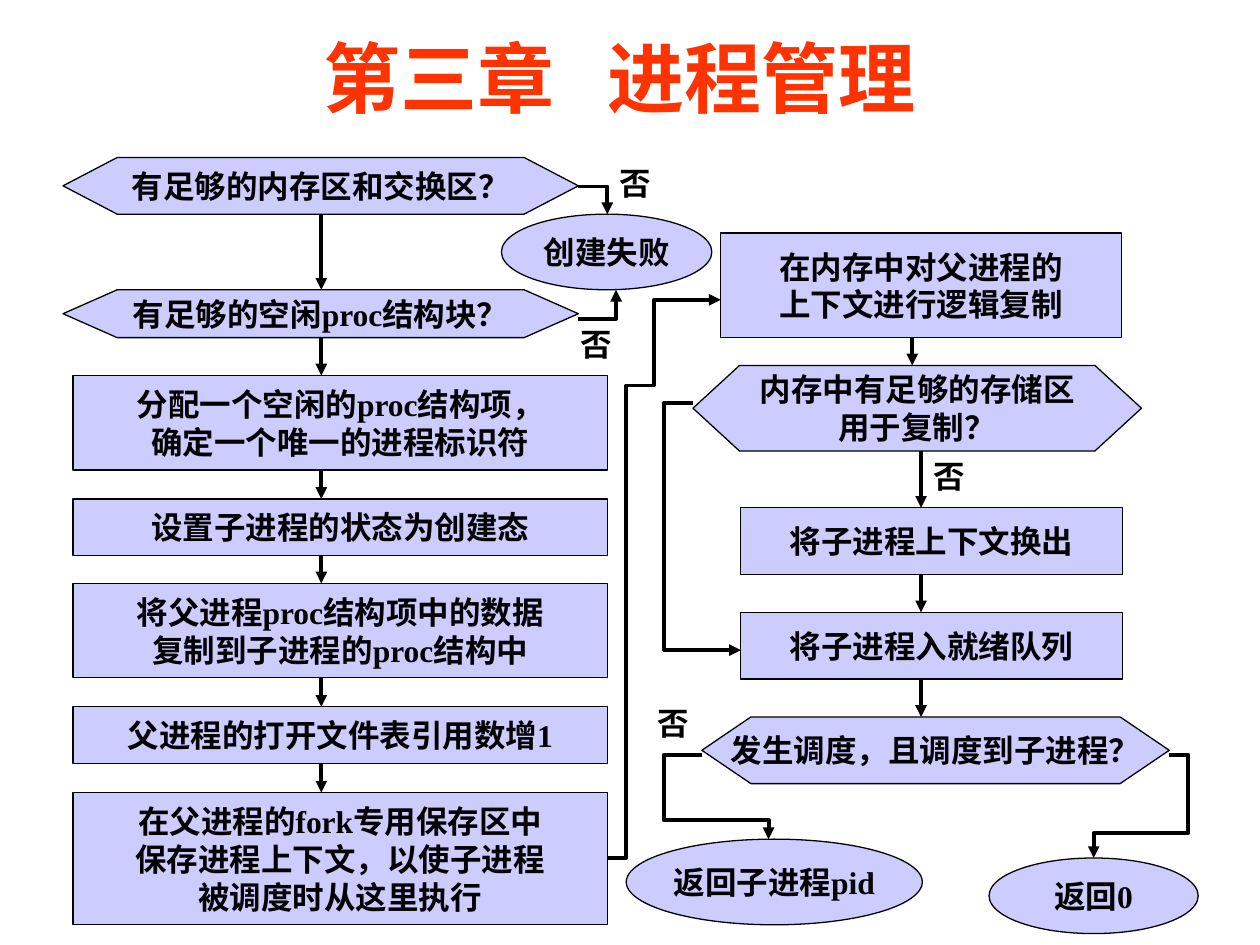
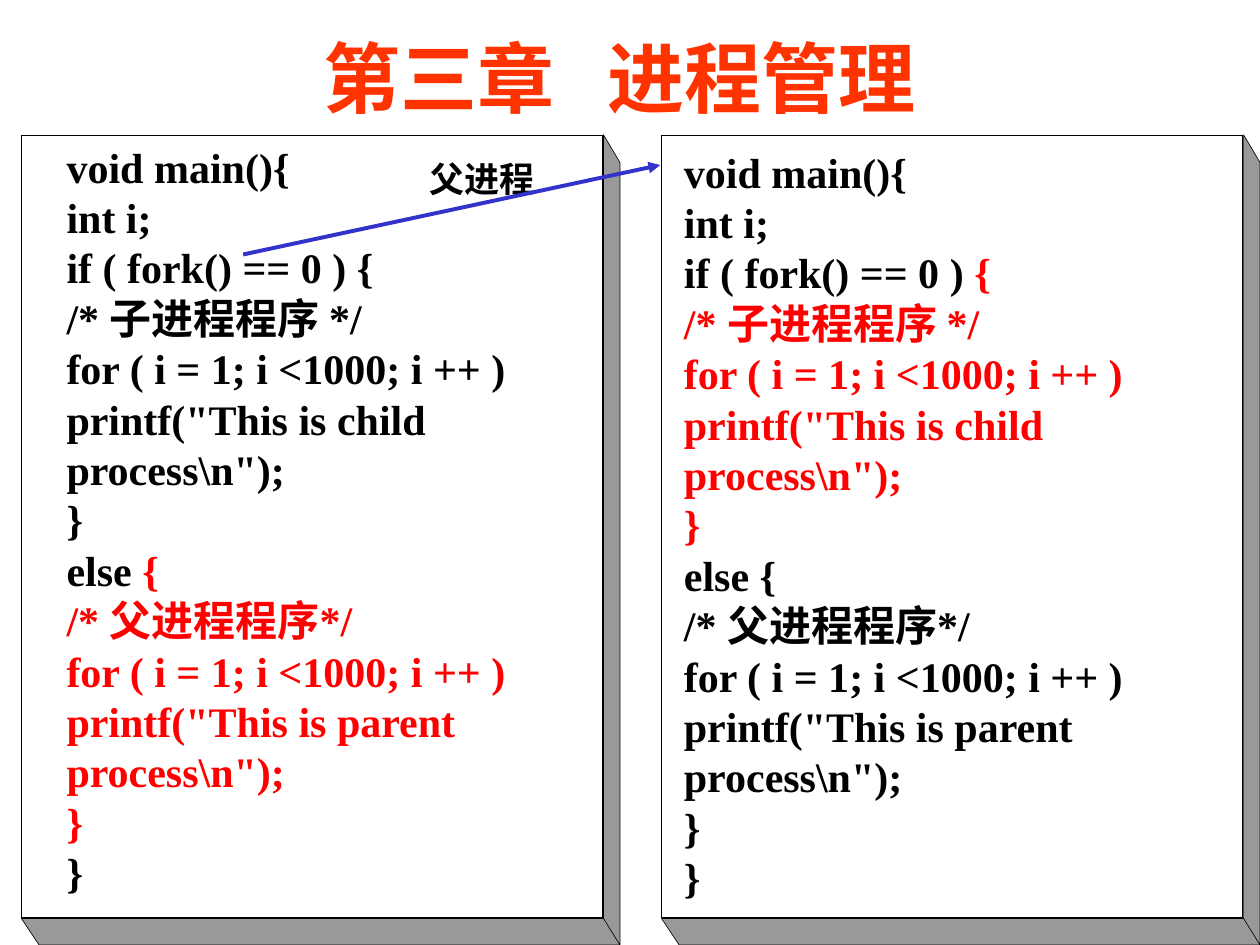
from itertools import pairwise

from lxml import etree
from pptx import Presentation
from pptx.dml.color import RGBColor
from pptx.enum.shapes import MSO_CONNECTOR, MSO_SHAPE
from pptx.enum.text import MSO_ANCHOR, PP_ALIGN
from pptx.oxml.ns import qn
from pptx.util import Inches, Pt

RECT, HEXAGON, ELLIPSE = MSO_SHAPE.RECTANGLE, MSO_SHAPE.HEXAGON, MSO_SHAPE.OVAL
STRAIGHT = MSO_CONNECTOR.STRAIGHT
TOP, MIDDLE = MSO_ANCHOR.TOP, MSO_ANCHOR.MIDDLE
LEFT, CENTER = PP_ALIGN.LEFT, PP_ALIGN.CENTER

BLACK, WHITE, LILAC, GRAY = "000000", "FFFFFF", "CCCCFF", "999999"
ORANGE, RED, BLUE = "FF3300", "FF0000", "3333CC"
FONT = {"name": "Times New Roman", "bold": True}

# (shape, left, top, width, height, lines); hexagons add the inset of their points
LEFT_COLUMN = [
    (HEXAGON, 0.5, 1.25, 4.09, 0.45, ["有足够的内存区和交换区？"], 0.43),
    (HEXAGON, 0.5, 2.3, 4.09, 0.38, ["有足够的空闲proc结构块？"], 0.43),
    (RECT, 0.58, 2.98, 4.24, 0.75, ["分配一个空闲的proc结构项，", "确定一个唯一的进程标识符"]),
    (RECT, 0.58, 3.96, 4.24, 0.45, ["设置子进程的状态为创建态"]),
    (RECT, 0.58, 4.63, 4.24, 0.75, ["将父进程proc结构项中的数据", "复制到子进程的proc结构中"]),
    (RECT, 0.58, 5.61, 4.24, 0.45, ["父进程的打开文件表引用数增1"]),
    (RECT, 0.58, 6.29, 4.24, 1.05,
     ["在父进程的fork专用保存区中", "保存进程上下文，以使子进程", "被调度时从这里执行"]),
]
RIGHT_COLUMN = [
    (RECT, 5.72, 1.85, 3.18, 0.83, ["在内存中对父进程的", "上下文进行逻辑复制"]),
    (HEXAGON, 5.5, 2.9, 3.56, 0.68, ["内存中有足够的存储区", "用于复制？"], 0.37),
    (RECT, 5.88, 4.03, 3.03, 0.53, ["将子进程上下文换出"]),
    (RECT, 5.88, 4.86, 3.03, 0.53, ["将子进程入就绪队列"]),
    (HEXAGON, 5.57, 5.69, 3.71, 0.53, ["发生调度，且调度到子进程？"], 0.39),
]
OUTCOMES = [
    (ELLIPSE, 4.97, 6.66, 2.35, 0.68, ["返回子进程pid"]),
    (ELLIPSE, 7.85, 6.81, 1.66, 0.6, ["返回0"]),
    (ELLIPSE, 3.98, 1.7, 1.67, 0.6, ["创建失败"]),
]
ROUTES = [
    [(5.5, 3.2), (5.27, 3.2), (5.27, 5.16), (5.88, 5.16)],
    [(5.57, 5.99), (5.27, 5.99), (5.27, 6.51), (6.1, 6.51), (6.1, 6.66)],
    [(9.28, 5.99), (9.43, 5.99), (9.43, 6.61), (8.68, 6.61), (8.68, 6.81)],
    [(4.59, 1.48), (4.82, 1.48), (4.82, 1.7)],
    [(4.59, 2.53), (4.89, 2.53), (4.89, 2.3)],
    [(4.82, 6.81), (4.97, 6.81), (4.97, 3.06), (5.19, 3.06), (5.19, 2.38), (5.72, 2.38)],
]
NO_LABELS = [(4.82, 1.25), (4.51, 2.53), (7.31, 3.58), (5.12, 5.54)]

CODE_HEAD = "void main(){\nint i;\nif ( fork() == 0 ) "
CHILD_BLOCK = """{
/* 子进程程序 */
for ( i = 1; i <1000; i ++ )
printf("This is child process\\n");
}
"""
PARENT_BLOCK = """{
/* 父进程程序*/
for ( i = 1; i <1000; i ++ )
printf("This is parent process\\n");
}
"""


def rgb(value):
    return RGBColor.from_string(value)


class Deck:
    def __init__(self):
        self.prs = Presentation()
        self.prs.slide_width, self.prs.slide_height = Inches(10), Inches(7.5)
        self.s = None

    def new_slide(self):
        self.s = self.prs.slides.add_slide(self.prs.slide_layouts[6])
        p = self.text(1.17, 0.07, 7.5, 1.08, MIDDLE)
        p.alignment = CENTER
        self.run(p, "第三章", 44, ORANGE)
        gap = self.run(p, " ", 44, ORANGE)
        gap.font._element.set("spc", "2000")
        self.run(p, "进程管理", 44, ORANGE)

    def run(self, p, text, size, color=BLACK):
        r = p.add_run()
        r.text = text
        for key, value in {**FONT, "size": Pt(size)}.items():
            setattr(r.font, key, value)
        r.font.color.rgb = rgb(color)
        return r

    def text(self, x, y, w, h, anchor=TOP, margin=None):
        """Add a text box and return its first paragraph."""
        sp = self.s.shapes.add_textbox(*map(Inches, (x, y, w, h)))
        tf = sp.text_frame
        tf.word_wrap, tf.vertical_anchor = True, anchor
        if margin is not None:
            for side in ("left", "right", "top", "bottom"):
                setattr(tf, f"margin_{side}", Inches(margin))
        return tf.paragraphs[0]

    def label(self, x, y, w, h, text, size=18, margin=None):
        self.run(self.text(x, y, w, h, margin=margin), text, size)

    def style(self, sp, fill, line, width):
        sp.shadow.inherit = False
        if fill:
            sp.fill.solid()
            sp.fill.fore_color.rgb = rgb(fill)
        else:
            sp.fill.background()
        sp.line.color.rgb = rgb(line)
        sp.line.width = Pt(width)

    def box(self, kind, x, y, w, h, fill, width):
        sp = self.s.shapes.add_shape(kind, *map(Inches, (x, y, w, h)))
        self.style(sp, fill, BLACK, width)
        return sp

    def node(self, kind, x, y, w, h, lines, inset=None):
        sp = self.box(kind, x, y, w, h, LILAC, 0.75)
        if inset:
            sp.adjustments[0] = inset / h
        tf = sp.text_frame
        tf.word_wrap, tf.vertical_anchor = False, MIDDLE
        for i, line in enumerate(lines):
            p = tf.add_paragraph() if i else tf.paragraphs[0]
            p.alignment, p.line_spacing = CENTER, Pt(21.6)
            self.run(p, line, 18)

    def outline(self, points, fill=None, width=2.25, close=False):
        start, *rest = [(Inches(x), Inches(y)) for x, y in points]
        builder = self.s.shapes.build_freeform(*start)
        builder.add_line_segments(rest, close=close)
        sp = builder.convert_to_shape()
        self.style(sp, fill, BLACK, width)
        return sp

    def arrowhead(self, sp):
        etree.SubElement(sp.line._get_or_add_ln(), qn("a:tailEnd"), type="triangle")

    def route(self, points):
        """Draw a bent arrow through the points."""
        self.arrowhead(self.outline(points))

    def arrow(self, start, end, color=BLACK):
        c = self.s.shapes.add_connector(STRAIGHT, *map(Inches, (*start, *end)))
        c.line.color.rgb = rgb(color)
        c.line.width = Pt(2.25)
        self.arrowhead(c)
        etree.SubElement(c._element.spPr, qn("a:effectLst"))

    def column(self, nodes, arrow_xs):
        """Draw nodes from top to bottom with an arrow in each gap."""
        for node in nodes:
            self.node(*node)
        for (upper, lower), x in zip(pairwise(nodes), arrow_xs):
            self.arrow((x, upper[2] + upper[4]), (x, lower[2]))

    def slab(self, x):
        """Draw a white panel with a gray edge to the right and below."""
        top, bottom, right = 1.07, 7.29, x + 4.62
        far, low = x + 4.75, 7.5
        self.outline([(x, bottom), (right, bottom), (right, top), (far, top + 0.22),
                      (far, low), (right, bottom), (far, low), (x + 0.14, low)],
                     GRAY, 0.38, close=True)
        self.box(RECT, x, top, 4.61, 6.21, WHITE, 0.38)

    def code(self, x, y, parts):
        p = self.text(x, y, 3.86, 6.09)
        p.alignment, p.line_spacing = LEFT, Pt(28.8)
        for text, color in parts:
            for i, line in enumerate(text.split("\n")):
                if i:
                    p.add_line_break()
                if line:
                    self.run(p, line, 24, color)


def build_flowchart(deck):
    deck.new_slide()
    deck.column(LEFT_COLUMN, [2.55] * 6)
    deck.column(RIGHT_COLUMN, [7.24] + [7.31] * 3)
    for outcome in OUTCOMES:
        deck.node(*outcome)
    for points in ROUTES:
        deck.route(points)
    for x, y in NO_LABELS:
        deck.label(x, y, 0.53, 0.4, "否")


def build_fork_code(deck):
    deck.new_slide()
    deck.slab(0.17)
    deck.label(3.41, 1.25, 0.9, 0.33, "父进程", 20, margin=0)
    deck.code(0.43, 1.07, [(CODE_HEAD + CHILD_BLOCK + "else ", BLACK),
                           (PARENT_BLOCK, RED), ("}", BLACK)])
    deck.slab(5.25)
    deck.code(5.33, 1.11, [(CODE_HEAD, BLACK), (CHILD_BLOCK, RED),
                           ("else " + PARENT_BLOCK + "}", BLACK)])
    deck.arrow((1.93, 2.02), (5.24, 1.31), BLUE)


def main():
    deck = Deck()
    build_flowchart(deck)
    build_fork_code(deck)
    deck.prs.save("out.pptx")


if __name__ == "__main__":
    main()
